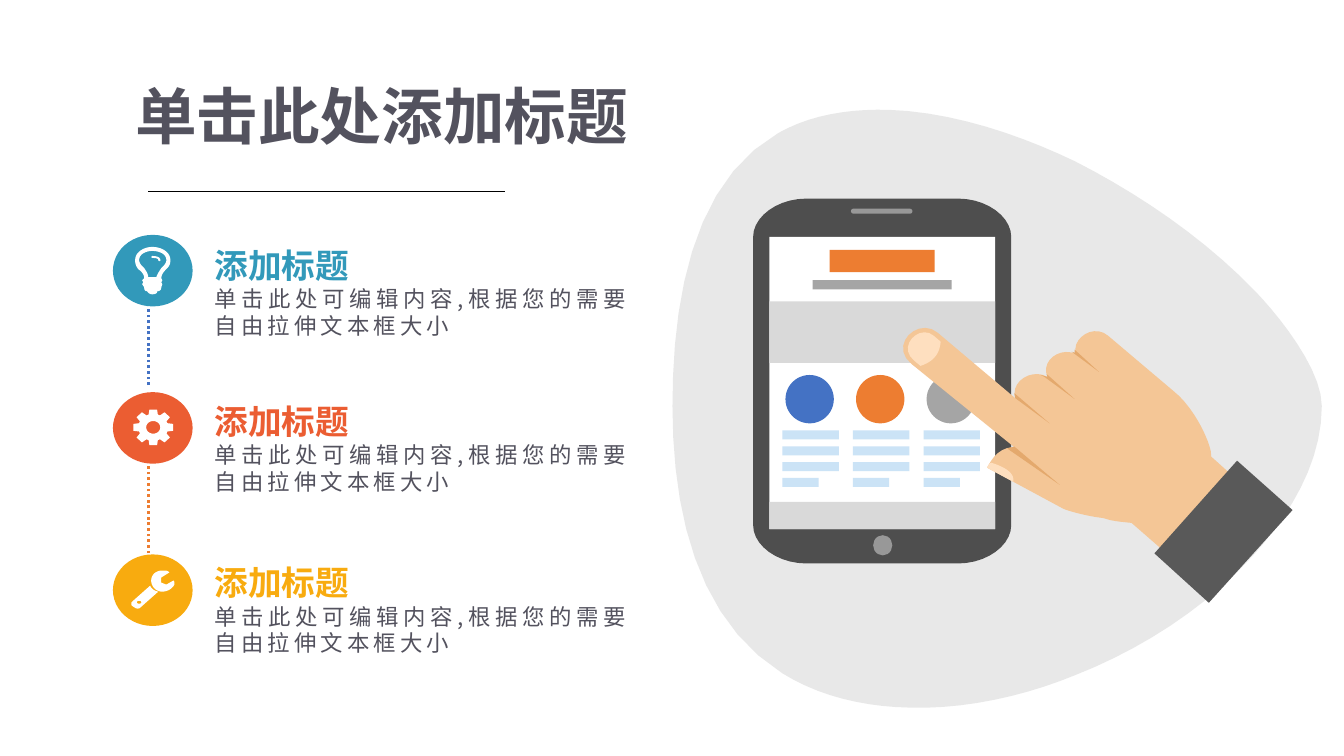
from math import cos, radians, sin

from lxml.etree import SubElement
from pptx import Presentation
from pptx.dml.color import RGBColor
from pptx.enum.dml import MSO_LINE
from pptx.enum.shapes import MSO_CONNECTOR, MSO_SHAPE
from pptx.enum.text import MSO_ANCHOR, PP_ALIGN
from pptx.oxml.ns import qn
from pptx.util import Inches, Pt

FONT = "Noto Sans CJK SC"
INK, WHITE, GREY = "53525E", "FFFFFF", "D9D9D9"
SKIN, NAIL, CREASE = "F4C696", "FEDFBF", "E4A96D"

# Outlines in inches: M starts a loop, L adds points, C adds Bezier curves.
BLOB = """M 8.81 1.09 C 9.46 1.11 10.14 1.35 10.66 1.6 11.29 1.92 11.94 2.36 12.45 2.89
12.68 3.13 13.11 3.66 13.11 4.03 13.11 4.6 12.78 5.12 12.43 5.51 11.95 6.04 11.3 6.45 10.66 6.7
10.17 6.9 9.58 7.04 9.01 7.02 8.57 7.01 8.13 6.91 7.76 6.68 6.9 6.14 6.67 5.05 6.67 4.03
6.67 3.05 6.84 1.82 7.72 1.32 8.04 1.14 8.42 1.08 8.81 1.09"""
PHONE = """M 8 1.97 L 9.5 1.97 C 9.79 1.97 10.03 2.15 10.03 2.35 L 10.03 5.21
C 10.03 5.41 9.79 5.59 9.5 5.59 L 8 5.59 C 7.71 5.59 7.47 5.41 7.47 5.21
L 7.47 2.35 C 7.47 2.15 7.71 1.97 8 1.97"""
WRIST = "M 10.95 4.95 L 11.8 5.69 12.61 5.28 12.63 5.26 C 12.64 5.21 12.66 5.17 12.68 5.13 L 11.78 4.32"
CUFF = "M 12.27 4.57 L 12.82 5.06 11.99 5.98 11.45 5.49"
THUMB = """M 9.79 4.64 L 10.55 5.05 C 10.65 5.09 11.08 5.2 11.13 5.11
11.2 5.01 10.94 4.79 10.83 4.75 L 10.28 4.49 C 9.96 4.34 9.85 4.53 9.79 4.64"""
PALM = """M 9.3 3.3 L 10.07 3.95 C 10.02 3.78 10.24 3.65 10.39 3.74 10.32 3.58 10.51 3.44 10.67 3.51
10.63 3.35 10.85 3.21 10.99 3.33 L 11.64 3.88 C 11.83 4.03 11.98 4.33 12.01 4.48
12.1 4.95 11.57 5.23 11.32 5.2 11.12 5.17 10.98 5.18 10.88 5.1 L 9.04 3.61
C 8.81 3.42 9.11 3.14 9.3 3.3"""
FOLDS = """M 10.9 3.69 L 10.66 3.47 10.66 3.5 10.63 3.49
M 10.66 3.96 L 10.38 3.71 10.39 3.74 10.32 3.72 10.36 3.74
M 10.41 4.2 L 10.06 3.9 10.07 3.95"""
NAILS = ["""M 9.26 3.33 L 9.33 3.39 C 9.32 3.52 9.25 3.59 9.13 3.63 L 9.07 3.58
C 8.89 3.44 9.12 3.21 9.26 3.33""",
         "M 9.83 4.59 C 9.81 4.6 9.8 4.62 9.79 4.64 L 10.05 4.78 C 10.07 4.68 9.93 4.62 9.83 4.59"]
CREST = "M 10.06 4.43 L 10.51 4.81 9.99 4.45"
BULB = """M 1.58 2.59 C 1.57 2.59 1.57 2.59 1.57 2.58 1.57 2.56 1.53 2.56 1.51 2.56
1.5 2.56 1.5 2.54 1.51 2.54 1.55 2.54 1.59 2.55 1.59 2.58 1.59 2.59 1.59 2.59 1.58 2.59
M 1.51 2.49 C 1.45 2.49 1.38 2.52 1.38 2.58 1.38 2.6 1.39 2.62 1.41 2.64 L 1.43 2.66
C 1.45 2.69 1.47 2.72 1.47 2.75 L 1.55 2.75 C 1.56 2.72 1.58 2.69 1.6 2.66 L 1.62 2.64
C 1.64 2.62 1.65 2.6 1.65 2.58 1.65 2.52 1.58 2.49 1.51 2.49
M 1.65 2.67 C 1.63 2.69 1.6 2.72 1.6 2.76 L 1.61 2.78 1.6 2.8 1.61 2.82 1.6 2.85
C 1.6 2.88 1.58 2.89 1.56 2.89 1.56 2.91 1.54 2.92 1.51 2.92 1.49 2.92 1.47 2.91 1.46 2.89
1.44 2.89 1.43 2.88 1.43 2.85 L 1.41 2.82 1.42 2.8 1.41 2.78 1.43 2.76
C 1.43 2.72 1.4 2.69 1.37 2.67 1.35 2.64 1.34 2.62 1.34 2.58 1.34 2.5 1.43 2.45 1.51 2.45
1.6 2.45 1.69 2.5 1.69 2.58 1.69 2.62 1.68 2.64 1.65 2.67"""
WRENCH = """M 1.73 5.8 C 1.71 5.84 1.66 5.87 1.61 5.87 1.55 5.87 1.5 5.82 1.5 5.76
1.5 5.7 1.55 5.66 1.61 5.66 1.63 5.66 1.66 5.66 1.67 5.67 L 1.68 5.68 1.6 5.73 1.6 5.78 1.65 5.8
1.72 5.76 C 1.73 5.76 1.73 5.78 1.73 5.8
M 1.38 5.96 C 1.35 5.96 1.35 5.99 1.38 5.99 1.41 5.99 1.41 5.96 1.38 5.96
M 1.39 6.03 C 1.38 6.04 1.35 6.04 1.34 6.03 L 1.31 6.01 C 1.3 6 1.3 5.98 1.31 5.97
L 1.49 5.81 C 1.5 5.84 1.53 5.86 1.57 5.87 L 1.39 6.03"""


def rgb(code):
    return RGBColor.from_string(code)


def paint(shape, color):
    shape.shadow.inherit = False
    shape.fill.solid()
    shape.fill.fore_color.rgb = rgb(color)
    shape.line.fill.background()
    return shape


def block(shapes, kind, box, color):
    return paint(shapes.add_shape(kind, *map(Inches, box)), color)


def curve(p, steps=10):
    """Points along a cubic Bezier given as eight numbers."""
    for i in range(1, steps + 1):
        t = i / steps
        w = ((1 - t) ** 3, 3 * t * (1 - t) ** 2, 3 * t * t * (1 - t), t ** 3)
        yield tuple(sum(a * b for a, b in zip(w, p[k::2])) for k in (0, 1))


def trace(outline):
    """Turn an outline text into loops of points."""
    loops, nums, mode = [], [], "M"
    for word in outline.split():
        if word in "MLC":
            mode = word
            continue
        nums.append(float(word))
        if len(nums) < (6 if mode == "C" else 2):
            continue
        if mode == "M":
            loops.append([tuple(nums)])
        elif mode == "L":
            loops[-1].append(tuple(nums))
        else:
            loops[-1].extend(curve([*loops[-1][-1], *nums]))
        nums = []
    return loops


def draw(shapes, loops, color):
    loops = [[(Inches(x), Inches(y)) for x, y in loop] for loop in loops]
    pen = shapes.build_freeform(*loops[0][0])
    for i, loop in enumerate(loops):
        if i:
            pen.move_to(*loop[0])
        pen.add_line_segments(loop[1:], close=True)
    return paint(pen.convert_to_shape(), color)


def gear():
    def point(angle, size):
        a = radians(angle)
        return 1.52 + 0.2 * size * sin(a), 4.24 - 0.18 * size * cos(a)

    tooth = ((-18, 0.74), (-11, 1), (11, 1), (18, 0.74))
    rim = [point(45 * k + a, size) for k in range(8) for a, size in tooth]
    return [rim, [point(-a, 0.35) for a in range(0, 360, 15)]]


def rule(shapes, start, end, color, width, dash=None):
    line = shapes.add_connector(MSO_CONNECTOR.STRAIGHT, *map(Inches, start + end))
    line.line.color.rgb = rgb(color)
    line.line.width = Pt(width)
    if dash:
        line.line.dash_style = dash
    SubElement(line._element.spPr, qn("a:effectLst"))


def style(para, size, color, bold=False):
    for run in para.runs:
        run.font.name, run.font.size, run.font.bold = FONT, Pt(size), bold
        run.font.color.rgb = rgb(color)
        SubElement(run._r.get_or_add_rPr(), qn("a:ea")).set("typeface", FONT)


def note(shapes, top, color):
    frame = shapes.add_textbox(*map(Inches, (2.03, top, 4.32, 1.25))).text_frame
    frame.word_wrap = True
    frame.text = "添加标题\n单击此处可编辑内容,根据您的需要自由拉伸文本框大小"
    head, body = frame.paragraphs
    head.alignment = body.alignment = PP_ALIGN.JUSTIFY
    head.line_spacing = 1.5
    style(head, 24, color, True)
    style(body, 16, INK)
    body.runs[0]._r.rPr.set("spc", "300")


def title(shapes):
    frame = shapes.add_textbox(*map(Inches, (1.34, 0.77, 5.23, 0.74))).text_frame
    frame.margin_left = frame.margin_right = frame.margin_top = frame.margin_bottom = 0
    frame.vertical_anchor = MSO_ANCHOR.MIDDLE
    frame.word_wrap = True
    frame.text = "单击此处添加标题"
    style(frame.paragraphs[0], 44, INK, True)


def phone(shapes):
    rect, oval = MSO_SHAPE.RECTANGLE, MSO_SHAPE.OVAL
    draw(shapes, trace(PHONE), "4E4E4E")
    block(shapes, rect, (7.63, 2.35, 2.24, 2.9), WHITE)
    speaker = block(shapes, MSO_SHAPE.ROUNDED_RECTANGLE, (8.44, 2.07, 0.61, 0.05), "989898")
    speaker.adjustments[0] = 0.5
    block(shapes, oval, (8.66, 5.31, 0.19, 0.2), "989898")
    block(shapes, rect, (8.23, 2.48, 1.04, 0.22), "ED7D31")
    block(shapes, rect, (7.63, 2.99, 2.24, 0.61), GREY)
    block(shapes, rect, (8.06, 2.78, 1.38, 0.09), "A5A5A5")
    block(shapes, rect, (7.63, 4.98, 2.24, 0.27), GREY)
    for col, color in enumerate(("4472C4", "ED7D31", "A5A5A5")):
        left = 7.76 + 0.7 * col
        for row, width in enumerate((0.56, 0.56, 0.56, 0.36)):
            block(shapes, rect, (left, 4.27 + 0.157 * row, width, 0.09), "CBE3F6")
        block(shapes, oval, (left + 0.03, 3.72, 0.48, 0.48), color)


def hand(shapes):
    parts = [(WRIST, SKIN), (CUFF, "595959"), (THUMB, SKIN), (PALM, SKIN), (FOLDS, CREASE),
             *((nail, NAIL) for nail in NAILS), (CREST, CREASE)]
    for outline, color in parts:
        draw(shapes, trace(outline), color)


def main():
    deck = Presentation()
    deck.slide_width, deck.slide_height = Inches(13.33), Inches(7.5)
    shapes = deck.slides.add_slide(deck.slide_layouts[6]).shapes
    blob = draw(shapes, trace(BLOB), GREY)
    tint = blob._element.spPr.find(qn("a:solidFill"))[0]
    SubElement(tint, qn("a:alpha")).set("val", "60000")
    scene = shapes.add_group_shape().shapes
    phone(scene)
    hand(scene)
    rule(shapes, (1.47, 5.49), (1.47, 4.47), "ED7D31", 2, MSO_LINE.ROUND_DOT)
    rule(shapes, (1.47, 3.82), (1.47, 2.93), "4472C4", 2, MSO_LINE.ROUND_DOT)
    items = ((2.33, 2.18, "3299BA", trace(BULB)), (3.89, 3.73, "EB5D32", gear()),
             (5.5, 5.33, "F8AB0F", trace(WRENCH)))
    for top, text, color, icon in items:
        badge = shapes.add_group_shape().shapes
        block(badge, MSO_SHAPE.OVAL, (1.12, top, 0.79, 0.71), color)
        draw(badge, icon, WHITE)
        note(shapes, text, color)
    rule(shapes, (1.47, 1.9), (5.01, 1.9), "000000", 1)
    title(shapes)


    deck.save("out.pptx")


if __name__ == "__main__":
    main()
